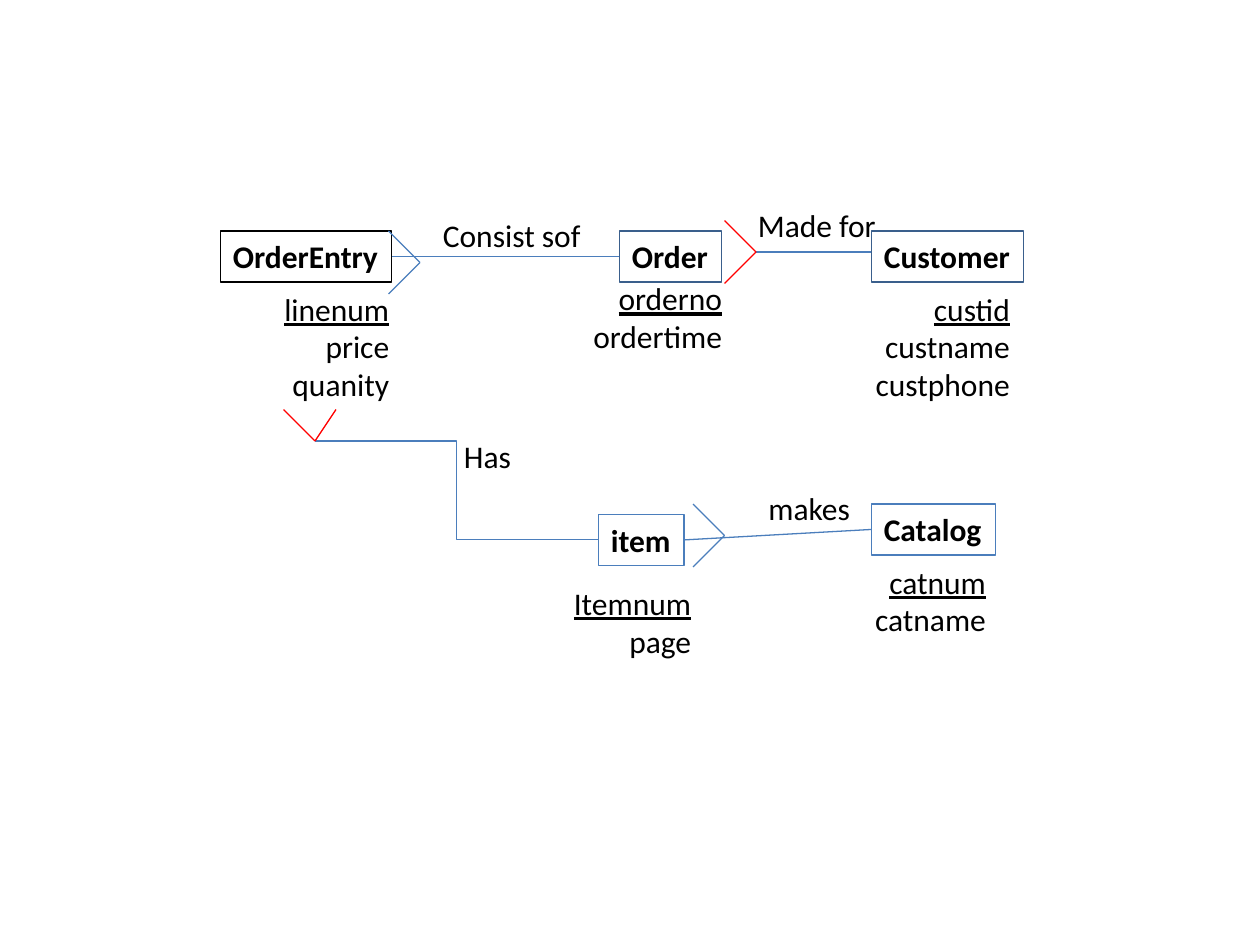
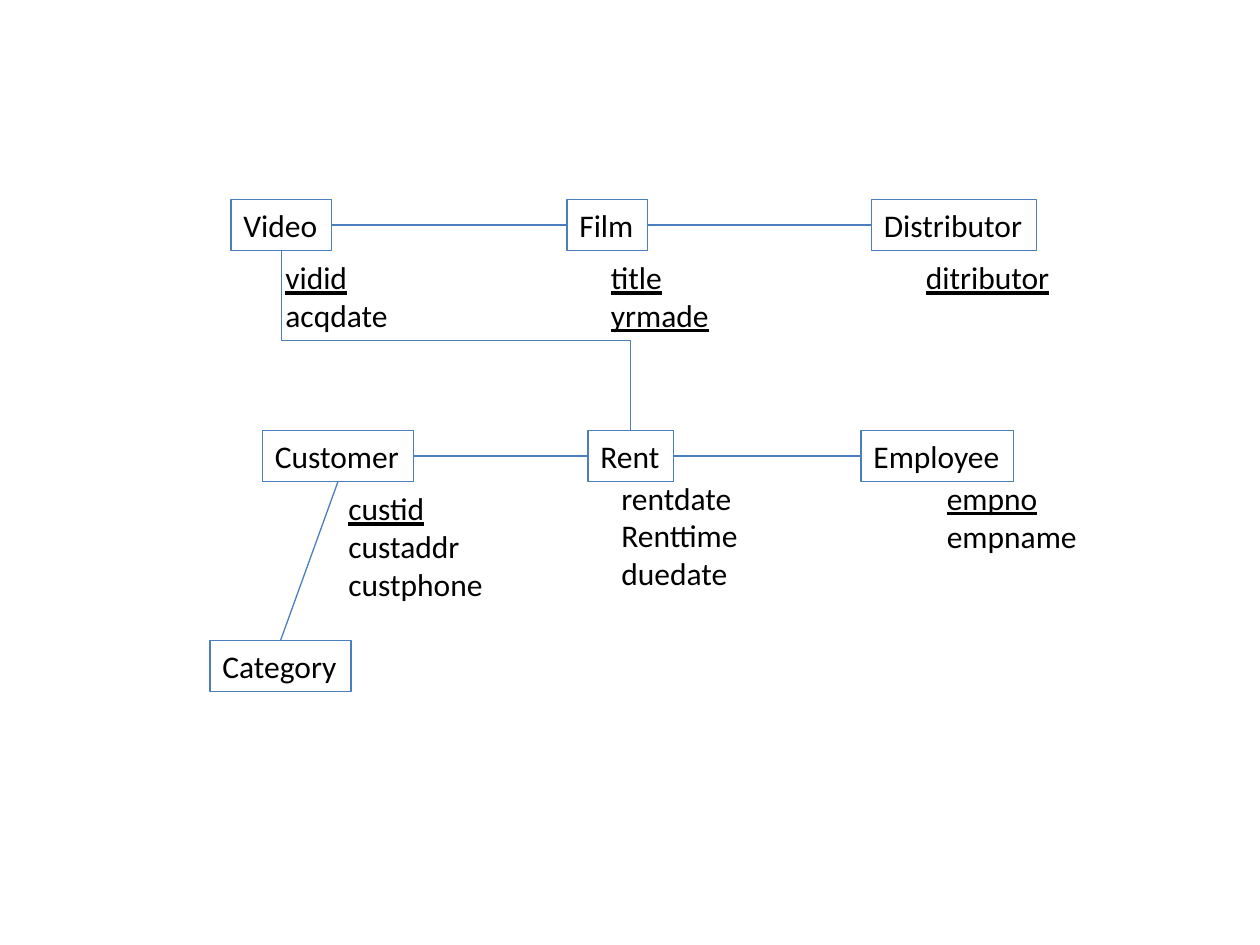
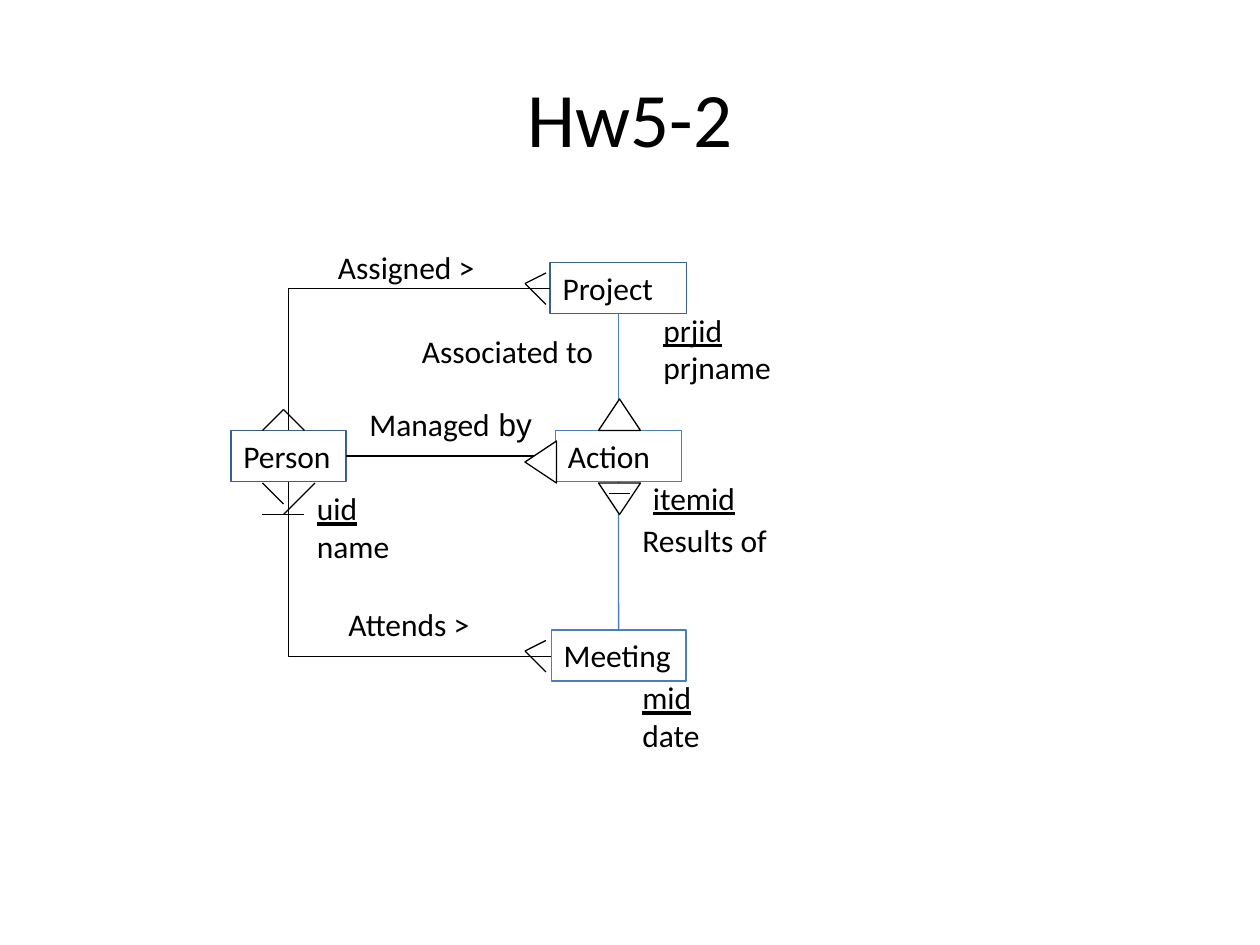
"""Builds three entity-relationship diagram slides on a grid of twelve cells to the inch."""
import lxml.etree
import pptx
import pptx.dml.color
import pptx.enum.shapes
import pptx.enum.text
import pptx.oxml.ns
import pptx.util

BLUE, NAVY, RED, BLACK, WHITE = "4B7EBC", "3A5F8C", "FF0000", "000000", "FFFFFF"
FONT = "Calibri"
TEXT_SIZE, TITLE_SIZE, LINE_WIDTH = 18, 44, 0.75
TOP, LEFT, BOTTOM, RIGHT = range(4)
BLANK_LAYOUT, TITLE_LAYOUT = 6, 5
ALIGN = pptx.enum.text.PP_ALIGN
CONNECTOR = pptx.enum.shapes.MSO_CONNECTOR


def color(value):
    return pptx.dml.color.RGBColor.from_string(value)


def cells(count):
    return pptx.util.Inches(count / 12)


class Diagram:
    """Holds the diagram style and draws on the current slide."""

    def __init__(self):
        self.presentation = pptx.Presentation()
        self.presentation.slide_width = pptx.util.Inches(10)
        self.presentation.slide_height = pptx.util.Inches(7.5)

    def new_slide(self, title=None):
        layout = self.presentation.slide_layouts[TITLE_LAYOUT if title else BLANK_LAYOUT]
        self.slide = self.presentation.slides.add_slide(layout)
        self.shapes = self.slide.shapes
        if title:
            self.shapes.title.text_frame.text = title
            paragraph = self.shapes.title.text_frame.paragraphs[0]
            paragraph.alignment = ALIGN.CENTER
            self.style_run(paragraph.runs[0], TITLE_SIZE)

    def style_run(self, run, size=TEXT_SIZE, font=FONT):
        run.font.name = font
        run.font.size = pptx.util.Pt(size)
        run.font.color.rgb = color(BLACK)

    def style_line(self, shape, line):
        shape.line.color.rgb = color(line)
        shape.line.width = pptx.util.Pt(LINE_WIDTH)

    def text(self, lines, left, top, width, align=ALIGN.LEFT, wrap=False):
        height = 1.2 + 3.65 * len(lines)
        shape = self.shapes.add_textbox(*map(cells, (left, top, width, height)))
        frame = shape.text_frame
        frame.word_wrap = wrap
        frame.auto_size = pptx.enum.text.MSO_AUTO_SIZE.SHAPE_TO_FIT_TEXT
        frame.text = "\n".join(lines)
        for paragraph in frame.paragraphs:
            paragraph.alignment = align
            self.style_run(paragraph.runs[0])
        return shape

    def label(self, text, left, top, width):
        return self.text([text], left, top, width)

    def entity(self, name, left, top, width, line=BLUE, bold=False, wrap=False):
        shape = self.text([name], left, top, width, wrap=wrap)
        shape.text_frame.paragraphs[0].runs[0].font.bold = bold
        self.style_line(shape, line)
        return shape

    def attributes(self, names, left, top, width, keys=1, **options):
        shape = self.text(names.split(), left, top, width, **options)
        for paragraph in shape.text_frame.paragraphs[:keys]:
            paragraph.runs[0].font.underline = True

    def connector(self, kind, start, end, line):
        connector = self.shapes.add_connector(kind, *map(cells, (*start, *end)))
        self.style_line(connector, line)
        properties = connector.element.spPr
        lxml.etree.SubElement(properties, pptx.oxml.ns.qn("a:effectLst"))
        return connector

    def line(self, start, end, line=BLACK):
        return self.connector(CONNECTOR.STRAIGHT, start, end, line)

    def link(self, first, first_side, second, second_side, line=BLUE):
        connector = self.line((0, 0), (1, 1), line)
        connector.begin_connect(first, first_side)
        connector.end_connect(second, second_side)

    def crow_foot(self, tip, toes, line=BLACK):
        for toe in toes:
            self.line(tip, toe, line)

    def upright_elbow(self, start, end, line, preset="bentConnector3"):
        middle_x, middle_y = (start[0] + end[0]) / 2, (start[1] + end[1]) / 2
        half_x, half_y = (end[0] - start[0]) / 2, (end[1] - start[1]) / 2
        connector = self.connector(
            CONNECTOR.ELBOW,
            (middle_x + half_y, middle_y - half_x),
            (middle_x - half_y, middle_y + half_x),
            line,
        )
        properties = connector.element.spPr
        properties.find(pptx.oxml.ns.qn("a:xfrm")).set("rot", str(270 * 60000))
        properties.find(pptx.oxml.ns.qn("a:prstGeom")).set("prst", preset)

    def triangle(self, left, top, rotation):
        kind = pptx.enum.shapes.MSO_SHAPE.ISOSCELES_TRIANGLE
        shape = self.shapes.add_shape(kind, *map(cells, (left, top, 4, 3)))
        shape.rotation = rotation
        shape.shadow.inherit = False
        shape.fill.solid()
        shape.fill.fore_color.rgb = color(WHITE)
        self.style_line(shape, BLACK)


def order_slide(diagram):
    diagram.new_slide()
    order_entry = diagram.entity("OrderEntry", 21, 22, 16.32, BLACK, bold=True)
    order = diagram.entity("Order", 59, 22, 9.75, NAVY, bold=True)
    diagram.entity("Customer", 83, 22, 14.5, NAVY, bold=True)
    item = diagram.entity("item", 57, 49, 8.15, bold=True)
    catalog = diagram.entity("Catalog", 83, 48, 11.8, bold=True)

    for names, left, top, width, wrap in (
        ("linenum price quanity", 21, 27, 17.25, True),
        ("orderno ordertime", 55.1, 26, 14.85, False),
        ("custid custname custphone", 82, 27, 15.36, False),
        ("Itemnum page", 53, 55, 14, True),
        ("catnum catname", 82, 53, 13.08, False),
    ):
        diagram.attributes(names, left, top, width, align=ALIGN.RIGHT, wrap=wrap)

    for text, left, top, width in (
        ("Consist sof", 41, 20, 15.72),
        ("Made for", 71, 19, 13.8),
        ("makes", 72, 46, 10.2),
        ("Has", 43, 41, 6.96),
    ):
        diagram.label(text, left, top, width)

    diagram.link(order_entry, RIGHT, order, LEFT)
    diagram.link(item, RIGHT, catalog, LEFT)
    diagram.line((72, 24), (83, 24), BLUE)
    diagram.connector(CONNECTOR.ELBOW, (30, 42), (57, 51.4), BLUE)
    diagram.crow_foot((72, 24), ((69, 21), (69, 27)), RED)
    diagram.crow_foot((40, 25), ((37, 22), (37, 28)), BLUE)
    diagram.crow_foot((30, 42), ((27, 39), (32, 39)), RED)
    diagram.crow_foot((69, 51), ((66, 48), (66, 54)), BLUE)


def video_slide(diagram):
    diagram.new_slide()
    video = diagram.entity("Video", 22, 19, 9.6)
    film = diagram.entity("Film", 54, 19, 7.68)
    distributor = diagram.entity("Distributor", 83, 19, 15.72)
    customer = diagram.entity("Customer", 25, 41, 14.4)
    rent = diagram.entity("Rent", 56, 41, 8.16)
    employee = diagram.entity("Employee", 82, 41, 14.52)
    category = diagram.entity("Category", 20, 61, 13.44)

    diagram.attributes("vidid acqdate", 26, 24, 12.24)
    diagram.attributes("title yrmade", 57, 24, 11.88, keys=2)
    diagram.attributes("ditributor", 87, 24, 14.64, wrap=True)
    diagram.attributes("custid custaddr custphone", 32, 46, 15.36)
    diagram.attributes("rentdate Renttime duedate", 58, 45, 13.68, keys=0)
    diagram.attributes("empno empname", 89, 45, 14.88)

    for row in ((video, film, distributor), (customer, rent, employee)):
        for first, second in zip(row, row[1:]):
            diagram.link(first, RIGHT, second, LEFT)
    diagram.link(category, TOP, customer, BOTTOM)
    diagram.upright_elbow((26.8, 23.85), (60.08, 41), BLUE)


def project_slide(diagram):
    diagram.new_slide("Hw5-2")
    person = diagram.entity("Person", 22, 41, 10.95, NAVY)
    project = diagram.entity("Project", 52.4, 25, 13, NAVY, wrap=True)
    action = diagram.entity("Action", 52.9, 41, 12, wrap=True)
    meeting = diagram.entity("Meeting", 52.5, 60, 12.84)

    for text, left, top, width in (
        ("Assigned >", 31, 23, 15.48),
        ("Associated to", 39, 31, 18.84),
        ("Results of", 60, 49, 14.28),
        ("Attends >", 32, 57, 14.16),
    ):
        diagram.label(text, left, top, width)
    managed = diagram.label("Managed", 34, 38, 17.88)
    run = managed.text_frame.paragraphs[0].add_run()
    run.text = " by"
    diagram.style_run(run, font="Arial")

    for names, left, top, width in (
        ("uid name", 29, 46, 9.36),
        ("prjid prjname", 62, 29, 12.72),
        ("itemid", 61, 45, 10.32),
        ("mid date", 60, 64, 7.92),
    ):
        diagram.attributes(names, left, top, width)

    diagram.link(meeting, TOP, action, BOTTOM)
    diagram.link(action, TOP, project, BOTTOM)
    diagram.link(person, RIGHT, action, LEFT, BLACK)
    diagram.upright_elbow((27.5, 41), (52.4, 27.5), BLACK, "bentConnector2")
    diagram.upright_elbow((27.5, 45.9), (52.5, 62.5), BLACK, "bentConnector2")

    diagram.crow_foot((27, 39), ((25, 41), (29, 41)))
    diagram.crow_foot((50, 27), ((52, 26), (52, 29)))
    diagram.crow_foot((50, 62), ((52, 61), (52, 64)))
    diagram.line((25, 46), (27, 48))
    diagram.line((30, 46), (27, 49))
    diagram.line((25, 49), (29, 49))
    diagram.triangle(49.5, 42.5, 270)
    diagram.triangle(57, 46, 180)
    diagram.triangle(57, 38, 0)
    diagram.line((58, 47), (60, 47))


def main():
    diagram = Diagram()
    order_slide(diagram)
    video_slide(diagram)
    project_slide(diagram)
    diagram.presentation.save("out.pptx")


if __name__ == "__main__":
    main()
